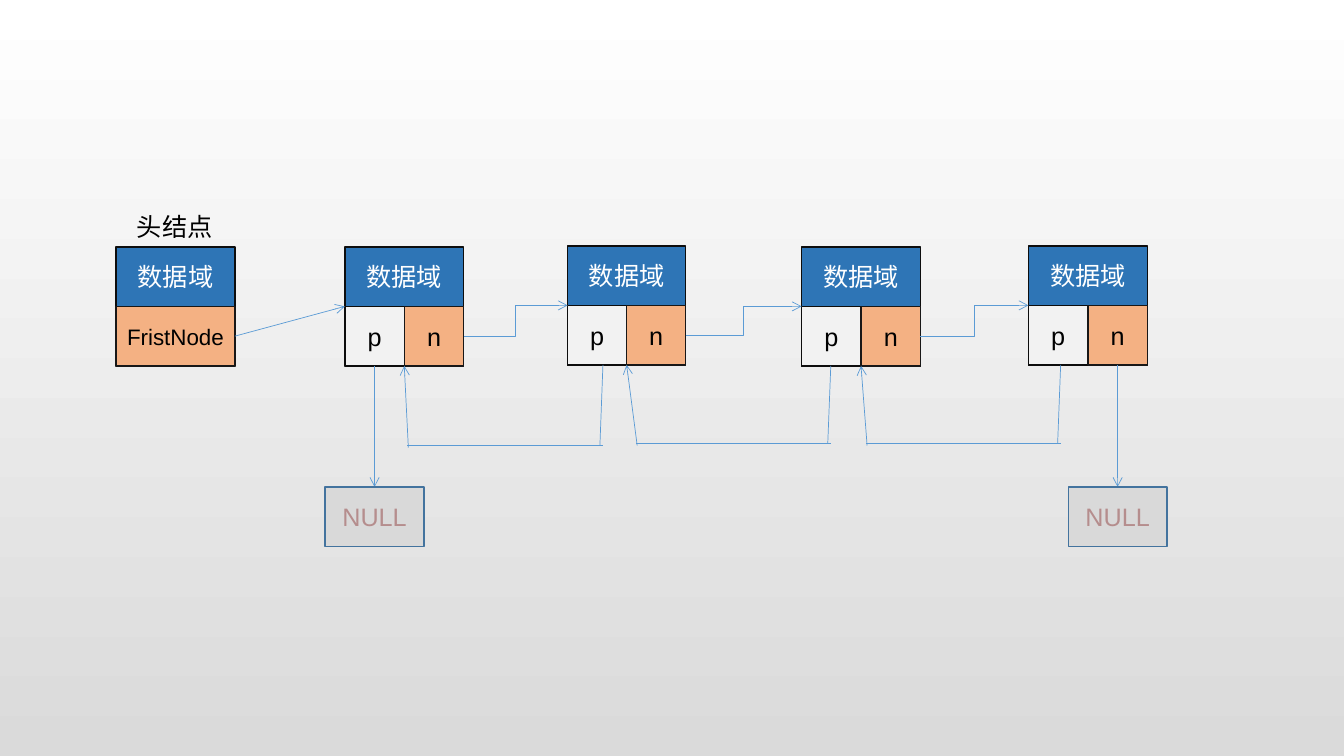
from dataclasses import dataclass

from pptx import Presentation, util as u
from pptx.dml.color import RGBColor
from pptx.enum import shapes, text
from pptx.oxml import parse_xml
from pptx.oxml.ns import nsdecls

BLUE, GRAY, PEACH = "2E75B6", "F2F2F2", "F4B183"
EDGE, DARK, WIRE = "0D0D0D", "181717", "5B9BD5"
CELL = 0.59
SIDE = 2 * CELL
DATA = "数据域"


@dataclass
class Node:
    """A list node: left and top corner, and its width."""
    left: float
    top: float
    width: float = SIDE

    @property
    def mid(self) -> float:
        """Height of the line between the data and the pointers."""
        return self.top + CELL

    @property
    def right(self) -> float:
        """Right edge."""
        return self.left + self.width

    @property
    def half(self) -> float:
        """Middle of the node from left to right."""
        return self.left + self.width / 2

    @property
    def base(self) -> float:
        """Bottom edge."""
        return self.top + SIDE


@dataclass
class Back:
    """Corners of the way back from a node to the one before it."""
    start: float
    turn: float
    floor: float


def color(code: str) -> RGBColor:
    """Turn a hex string into a colour."""
    return RGBColor.from_string(code)


def style(frame, words: str, size: float, ink: str) -> None:
    """Write words into a frame and format them."""
    frame.text = words
    for run in frame.paragraphs[0].runs:
        run.font.name = "Arial"
        run.font.size = u.Pt(size)
        run.font.color.rgb = color(ink)


def box(left: float, top: float, wide: float, high: float, fill: str,
        edge: str, words: str, ink: str = "000000", size: float = 18,
        pad: float = 0.05) -> None:
    """Draw a filled box with centred text above the bottom padding."""
    shape = slide.shapes.add_shape(
        shapes.MSO_SHAPE.RECTANGLE, u.Inches(left), u.Inches(top),
        u.Inches(wide), u.Inches(high))
    shape.shadow.inherit = False
    shape.fill.solid()
    shape.fill.fore_color.rgb = color(fill)
    shape.line.color.rgb = color(edge)
    shape.line.width = u.Pt(1)
    frame = shape.text_frame
    frame.margin_left = frame.margin_right = u.Inches(0.05)
    frame.margin_top = u.Inches(0.05 if pad == 0.05 else 0)
    frame.margin_bottom = u.Inches(pad)
    frame.vertical_anchor = text.MSO_ANCHOR.MIDDLE
    style(frame, words, size, ink)
    frame.paragraphs[0].alignment = text.PP_ALIGN.CENTER


def wire(x1: float, y1: float, x2: float, y2: float,
         arrow: bool = True, bent: bool = False) -> None:
    """Draw a thin straight or bent connector."""
    kind = shapes.MSO_CONNECTOR.ELBOW if bent else shapes.MSO_CONNECTOR.STRAIGHT
    line = slide.shapes.add_connector(
        kind, u.Inches(x1), u.Inches(y1), u.Inches(x2), u.Inches(y2))
    line.line.color.rgb = color(WIRE)
    line.line.width = u.Pt(0.5)
    if arrow:
        line.line._get_or_add_ln().append(
            parse_xml(f'<a:tailEnd {nsdecls("a")} type="arrow"/>'))
    line._element.spPr.append(parse_xml(f'<a:effectLst {nsdecls("a")}/>'))


def data(node: Node) -> None:
    """Draw the node's body with its data label in the upper half."""
    box(node.left, node.top, node.width, SIDE, BLUE, EDGE, DATA,
        "FFFFFF", pad=CELL)


def draw(node: Node) -> None:
    """Draw a node with its two pointer cells."""
    data(node)
    wide = node.width / 2
    box(node.left, node.mid, wide, CELL, GRAY, EDGE, "p")
    box(node.half, node.mid, wide, CELL, PEACH, DARK, "n")


def link(prev: Node, node: Node, bent: bool = True) -> None:
    """Point from a node's lower cell to the next node."""
    wire(prev.right, prev.mid + CELL / 2, node.left, node.mid, bent=bent)


def back(way: Back, prev: Node, node: Node) -> None:
    """Point from a node back to the one before it, below both."""
    wire(way.start, node.base, way.start - 0.03, way.floor, arrow=False)
    wire(way.start, way.floor, way.turn - 0.01, way.floor, arrow=False)
    wire(way.turn, way.floor + 0.02, prev.half, prev.base)


def null(x: float, top: float) -> None:
    """Point straight down to a NULL box."""
    wire(x, top, x, 4.83)
    box(x - 0.49, 4.83, 0.98, CELL, "D9D9D9", "43739E", "NULL", "B58D8D")


deck = Presentation()
deck.slide_width, deck.slide_height = u.Inches(13.33), u.Inches(7.5)
slide = deck.slides.add_slide(deck.slide_layouts[6])
ground = slide.background.fill
ground.gradient()
ground.gradient_angle = 270
for stop, code in zip(ground.gradient_stops, ("FFFFFF", "DADADA")):
    stop.color.rgb = color(code)

head = Node(1.15, 2.45)
nodes = [Node(3.42, 2.45), Node(5.63, 2.44, 1.17),
         Node(7.95, 2.45), Node(10.2, 2.44)]
ways = [Back(5.98, 4.05, 4.42), Back(8.24, 6.32, 4.4), Back(10.52, 8.6, 4.4)]

data(head)
box(head.left, head.mid, SIDE, CELL, PEACH, DARK, "FristNode", size=16)
title = slide.shapes.add_textbox(
    u.Inches(1.26), u.Inches(2.05), u.Inches(0.98), u.Inches(0.4))
title.text_frame.word_wrap = True
style(title.text_frame, "头结点", 18, "000000")

for node in nodes:
    draw(node)
link(head, nodes[0], bent=False)
for way, prev, node in zip(ways, nodes, nodes[1:]):
    link(prev, node)
    back(way, prev, node)
first, last = nodes[0], nodes[-1]
null(first.left + CELL / 2, first.base)
null(last.right - CELL / 2, last.base)

deck.save("out.pptx")
